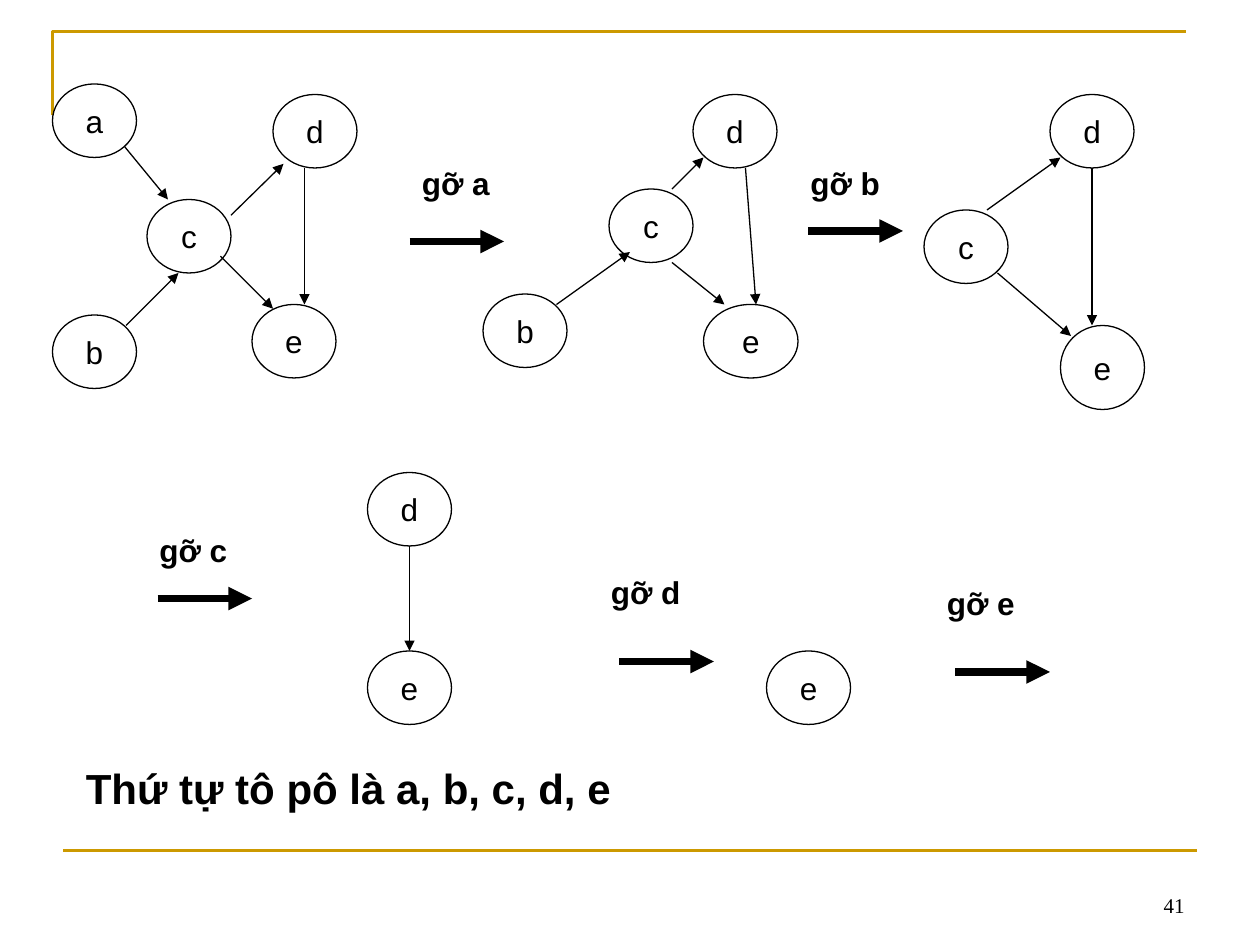
"""Build a slide that shows a topological sort by removing one vertex at a time."""
from lxml import etree
from pptx import Presentation
from pptx import util as u
from pptx.dml.color import RGBColor
from pptx.enum import shapes, text
from pptx.oxml.ns import qn

COLOURS = {"ink": "000000", "gold": "CC9900"}
NODE_WIDTH, NODE_HEIGHT, STEP_LENGTH, LABEL_HEIGHT = 8, 7, 9, 4.8

GRAPHS = [
    {
        "nodes": [("a", 5, 8), ("b", 5, 30), ("c", 14, 19), ("d", 26, 9), ("e", 24, 29)],
        "edges": [(11.9, 14, 16, 19), (12, 31, 17, 26), (22, 20.5, 27, 15.6),
                  (21, 24.4, 26, 29.4), (29, 16, 29, 29)],
    },
    {
        "nodes": [("b", 46, 28), ("c", 58, 18), ("d", 66, 9), ("e", 67, 29, 9, 7)],
        "edges": [(53, 29, 60, 24), (64, 18, 67, 15), (64, 25, 69, 29), (71, 16, 72, 29)],
    },
    {
        "nodes": [("c", 88, 20), ("d", 100, 9), ("e", 101, 31, 8, 8)],
        "edges": [(94, 20, 101, 15), (95, 26, 102, 32), (104, 16, 104, 31)],
    },
    {"nodes": [("d", 35, 45), ("e", 35, 62)], "edges": [(39, 52, 39, 62)]},
    {"nodes": [("e", 73, 62)], "edges": []},
]
STEPS = [
    ("gỡ a", (39, 15, 10), (39, 23)),
    ("gỡ b", (76, 15, 12), (77, 22)),
    ("gỡ c", (14, 50, 11), (15, 57)),
    ("gỡ d", (57, 54, 14), (59, 63)),
    ("gỡ e", (89, 55, 18), (91, 64)),
]
RESULT = "Thứ tự tô pô là a, b, c, d, e"
PAGE_NUMBER = "41"
FRAME = [(5, 11), (5, 3), (113, 3)]
FOOTER_RULE = (6, 81, 114, 81)


def grid(*units):
    """Convert twelfths of an inch to lengths."""
    return [u.Cm(unit * 2.54 / 12) for unit in units]


def colour(name):
    return RGBColor.from_string(COLOURS[name])


def set_line(shape, name, width):
    shape.line.color.rgb = colour(name)
    shape.line.width = u.Pt(width)


def write(shape, words, size, align, bold=False, font="Arial"):
    paragraph = shape.text_frame.paragraphs[0]
    paragraph.text = words
    paragraph.alignment = align
    paragraph.font.name = font
    paragraph.font.size = u.Pt(size)
    paragraph.font.bold = bold
    paragraph.font.color.rgb = colour("ink")


def add_line(slide, ends, name="ink", width=0.75, arrow=True):
    connector = slide.shapes.add_connector(shapes.MSO_CONNECTOR.STRAIGHT, *grid(*ends))
    set_line(connector, name, width)
    if arrow:
        etree.SubElement(connector.line._get_or_add_ln(), qn("a:tailEnd"), type="triangle")
    etree.SubElement(connector._element.spPr, qn("a:effectLst"))


def add_node(slide, name, left, top, width=NODE_WIDTH, height=NODE_HEIGHT):
    node = slide.shapes.add_shape(shapes.MSO_SHAPE.OVAL, *grid(left, top, width, height))
    node.shadow.inherit = False
    node.fill.background()
    set_line(node, "ink", 0.75)
    node.text_frame.word_wrap = False
    node.text_frame.vertical_anchor = text.MSO_ANCHOR.MIDDLE
    write(node, name, 18, text.PP_ALIGN.CENTER)


def add_text(slide, words, box, size, align=text.PP_ALIGN.LEFT, **style):
    box = slide.shapes.add_textbox(*grid(*box))
    box.text_frame.word_wrap = True
    write(box, words, size, align, **style)
    return box


def add_frame(slide):
    start, *corners = [grid(*point) for point in FRAME]
    builder = slide.shapes.build_freeform(*start)
    builder.add_line_segments(corners, close=False)
    frame = builder.convert_to_shape()
    frame.shadow.inherit = False
    frame.fill.background()
    set_line(frame, "gold", 1.5)
    add_line(slide, FOOTER_RULE, "gold", 1.5, arrow=False)


def main():
    presentation = Presentation()
    presentation.slide_width, presentation.slide_height = u.Cm(25.4), u.Cm(19.05)
    slide = presentation.slides.add_slide(presentation.slide_layouts[6])
    add_frame(slide)
    for graph in GRAPHS:
        for node in graph["nodes"]:
            add_node(slide, *node)
        for edge in graph["edges"]:
            add_line(slide, edge)
    for label, place, (left, top) in STEPS:
        add_text(slide, label, (*place, LABEL_HEIGHT), 18, bold=True)
        add_line(slide, (left, top, left + STEP_LENGTH, top), width=4.5)
    add_text(slide, RESULT, (7, 72, 102, 6), 24, bold=True)
    number = add_text(slide, PAGE_NUMBER, (86, 82, 28, 6), 12,
                      text.PP_ALIGN.RIGHT, font="Times New Roman")
    number.text_frame.vertical_anchor = text.MSO_ANCHOR.BOTTOM
    presentation.save("out.pptx")


if __name__ == "__main__":
    main()
